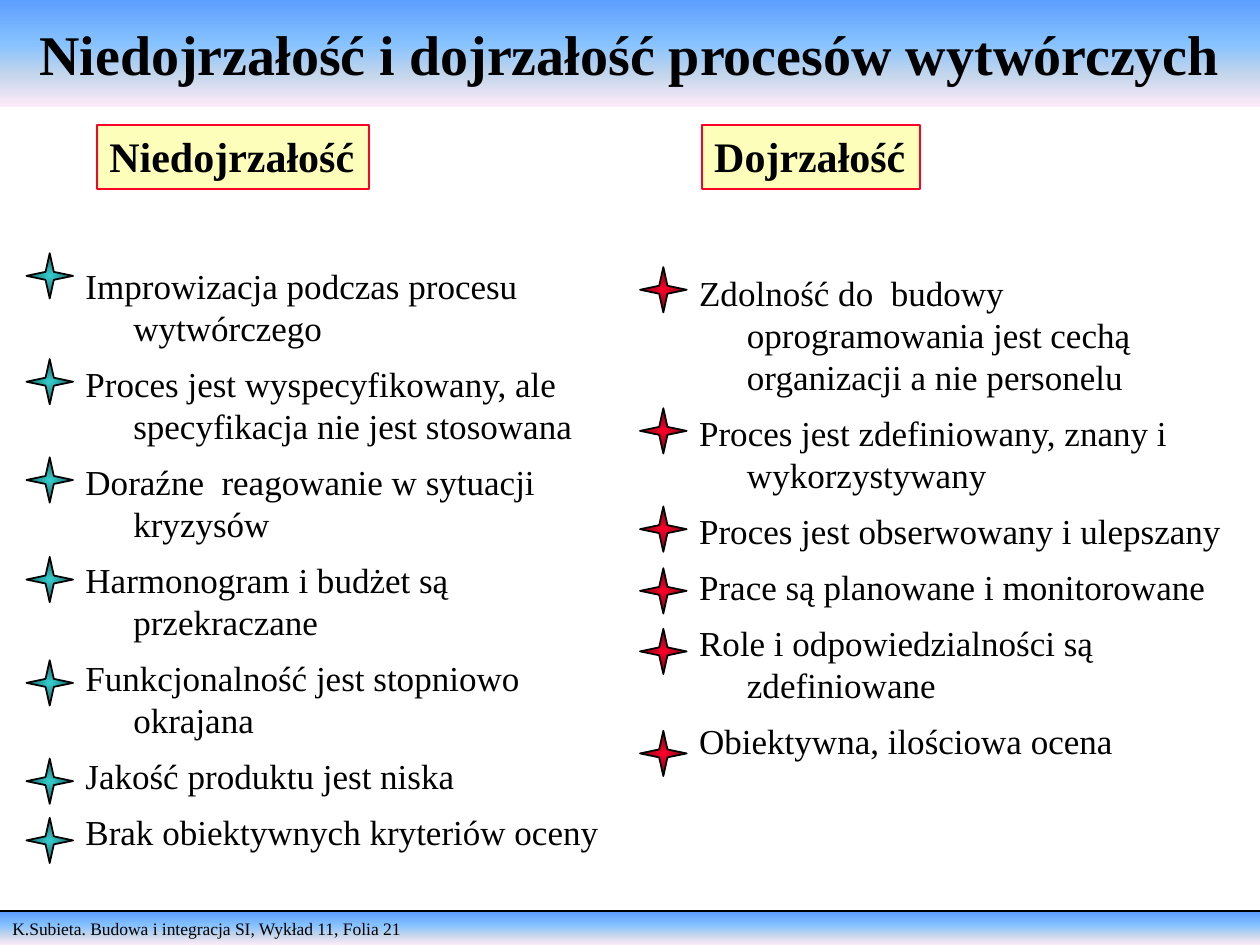
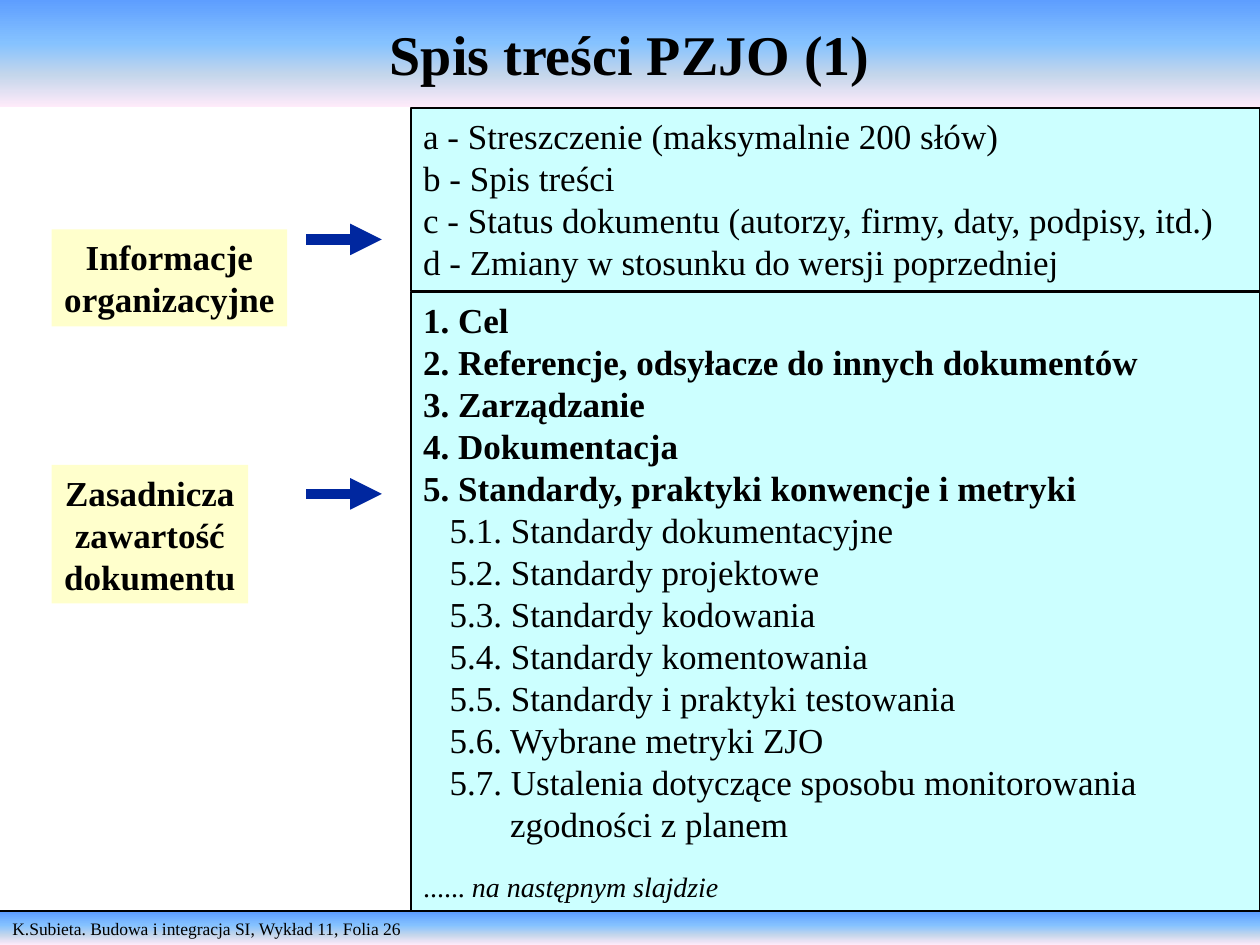
from dataclasses import dataclass

from lxml import etree
from pptx import Presentation
from pptx.dml.color import RGBColor
from pptx.enum.shapes import MSO_CONNECTOR, MSO_SHAPE
from pptx.enum.text import MSO_ANCHOR, PP_ALIGN
from pptx.oxml import parse_xml
from pptx.oxml.ns import nsdecls, qn
from pptx.util import Inches, Pt

RECT, STAR = MSO_SHAPE.RECTANGLE, MSO_SHAPE.STAR_4_POINT
STRAIGHT = MSO_CONNECTOR.STRAIGHT
LEFT, CENTER = PP_ALIGN.LEFT, PP_ALIGN.CENTER
TOP, MIDDLE = MSO_ANCHOR.TOP, MSO_ANCHOR.MIDDLE


@dataclass(frozen=True)
class Theme:
    font: str = "Times New Roman"
    ink: str = "000000"
    band: tuple = ((0, "5E9EFF"), (40, "85C2FF"), (70, "C4D6EB"), (100, "FFEBFA"))
    teal: tuple = ((0, "33CCCC"), (100, "185E5E"))
    red: tuple = ((0, "FC0128"), (100, "750013"))
    heading_fill: str = "FCFEB9"
    heading_line: str = "FC0128"
    label_fill: str = "FFFFCC"
    panel_fill: str = "CCFFFF"
    arrow: str = "00279F"
    title_size: int = 32
    heading_size: int = 24
    body_size: int = 20
    note_size: int = 16
    footer_size: int = 10


THEME = Theme()

# Content
FOOTER = "K.Subieta. Budowa i integracja SI, Wykład 11, Folia {}"

MATURITY_TITLE = "Niedojrzałość i dojrzałość procesów wytwórczych"
# Each item: top of its star, wording
MATURITY_COLUMNS = [
    dict(heading="Niedojrzałość", heading_box=(0.77, 0.99, 2.16, 0.51),
         list_box=(0.58, 1.72, 4.3, 5.43), star_colours=THEME.teal,
         items=[(2.01, "Improwizacja podczas procesu wytwórczego"),
                (2.85, "Proces jest wyspecyfikowany, ale specyfikacja nie jest stosowana"),
                (3.63, "Doraźne  reagowanie w sytuacji kryzysów"),
                (4.42, "Harmonogram i budżet są przekraczane"),
                (5.24, "Funkcjonalność jest stopniowo okrajana"),
                (6.02, "Jakość produktu jest niska"),
                (6.49, "Brak obiektywnych kryteriów oceny")]),
    dict(heading="Dojrzałość", heading_box=(5.57, 0.99, 1.73, 0.51),
         list_box=(5.45, 1.72, 4.38, 4.76), star_colours=THEME.red,
         items=[(2.12, "Zdolność do  budowy oprogramowania jest cechą organizacji a nie personelu"),
                (3.24, "Proces jest zdefiniowany, znany i wykorzystywany"),
                (4.02, "Proces jest obserwowany i ulepszany"),
                (4.51, "Prace są planowane i monitorowane"),
                (4.99, "Role i odpowiedzialności są zdefiniowane"),
                (5.8, "Obiektywna, ilościowa ocena")]),
]

CONTENTS_TITLE = "Spis treści PZJO (1)"
SUMMARY = ["a - Streszczenie (maksymalnie 200 słów)",
           "b - Spis treści",
           "c - Status dokumentu (autorzy, firmy, daty, podpisy, itd.)",
           "d - Zmiany w stosunku do wersji poprzedniej"]
CHAPTERS = ["1. Cel",
            "2. Referencje, odsyłacze do innych dokumentów",
            "3. Zarządzanie",
            "4. Dokumentacja",
            "5. Standardy, praktyki konwencje i metryki"]
SECTIONS = ["5.1. Standardy dokumentacyjne",
            "5.2. Standardy projektowe",
            "5.3. Standardy kodowania",
            "5.4. Standardy komentowania",
            "5.5. Standardy i praktyki testowania",
            "5.6. Wybrane metryki ZJO",
            "5.7. Ustalenia dotyczące sposobu monitorowania zgodności z planem"]
CONTINUED = ("...... ", "na następnym slajdzie")
# Label lines, label box, height of its arrow
CONTENTS_LABELS = [
    (["Informacje", "organizacyjne"], (0.41, 1.82, 1.87, 0.77), 1.9),
    (["Zasadnicza", "zawartość", "dokumentu"], (0.41, 3.69, 1.56, 1.1), 3.92),
]

# Layout
SLIDE_WIDTH, SLIDE_HEIGHT = 10, 7.5
TITLE_BOX = (0, 0, SLIDE_WIDTH, 0.85)
FOOTER_BOX = (0, 7.24, SLIDE_WIDTH, 0.26)
FOOTER_RULE_Y = 7.23
STAR_SIZE = (0.37, 0.36)
LIST_INDENT = 0.38
SUMMARY_BOX = (3.26, 0.86, 6.74, 1.45)
CHAPTERS_BOX = (3.26, 2.32, 6.74, 4.91)
SECTION_LEFT, SECTION_HANG = 0.69, 0.48
ARROW_SPAN = (2.43, 3.03)


def rgb(colour):
    return RGBColor.from_string(colour)


def fill_gradient(shape, stops, radial=False):
    marks = "".join(f'<a:gs pos="{pos * 1000}"><a:srgbClr val="{colour}"/></a:gs>'
                    for pos, colour in stops)
    if radial:
        direction = ('<a:path path="shape"><a:fillToRect l="50000" t="50000" '
                     'r="50000" b="50000"/></a:path>')
    else:
        direction = '<a:lin ang="5400000" scaled="0"/>'
    gradient = parse_xml(f'<a:gradFill {nsdecls("a")} rotWithShape="1">'
                         f'<a:gsLst>{marks}</a:gsLst>{direction}</a:gradFill>')
    shape._element.spPr.find(qn("a:prstGeom")).addnext(gradient)


def add_box(slide, box, fill, line=None, kind=RECT, radial=False):
    """Add a shape; fill is one colour or a tuple of gradient stops."""
    shape = slide.shapes.add_shape(kind, *map(Inches, box))
    shape.shadow.inherit = False
    if isinstance(fill, tuple):
        fill_gradient(shape, fill, radial)
    else:
        shape.fill.solid()
        shape.fill.fore_color.rgb = rgb(fill)
    if line:
        shape.line.color.rgb = rgb(line)
        shape.line.width = Pt(1)
    else:
        shape.line.fill.background()
    return shape


def add_run(paragraph, text, size, bold=False, italic=False):
    run = paragraph.add_run()
    run.text = text
    font = run.font
    font.name, font.size, font.bold, font.italic = THEME.font, Pt(size), bold, italic
    font.color.rgb = rgb(THEME.ink)


def add_paragraph(frame, align=LEFT, before=0, left=0, hang=0):
    first = frame.paragraphs[0]
    paragraph = frame.add_paragraph() if first.runs else first
    paragraph.alignment = align
    paragraph.space_before = Pt(before)
    if left:
        properties = paragraph._p.get_or_add_pPr()
        properties.set("marL", str(Inches(left)))
        properties.set("indent", str(-Inches(hang)))
    return paragraph


def write(shape, lines, size, bold=False, anchor=TOP, wrap=True, **layout):
    frame = shape.text_frame
    frame.word_wrap = wrap
    frame.vertical_anchor = anchor
    for line in lines:
        add_run(add_paragraph(frame, **layout), line, size, bold)
    return frame


def add_line(slide, start, end, colour, width, arrow=False):
    line = slide.shapes.add_connector(STRAIGHT, *map(Inches, start + end))
    line.line.color.rgb = rgb(colour)
    line.line.width = Pt(width)
    if arrow:
        etree.SubElement(line.line._get_or_add_ln(), qn("a:tailEnd"), type="triangle")
    etree.SubElement(line._element.spPr, qn("a:effectLst"))


def add_framed_slide(deck, title, folio):
    """Add a slide with the shared title band and footer."""
    slide = deck.slides.add_slide(deck.slide_layouts[6])
    footer_band = add_box(slide, FOOTER_BOX, THEME.band)
    write(footer_band, [FOOTER.format(folio)], THEME.footer_size)
    add_line(slide, (0, FOOTER_RULE_Y), (SLIDE_WIDTH, FOOTER_RULE_Y), THEME.ink, 1)
    title_band = add_box(slide, TITLE_BOX, THEME.band)
    write(title_band, [title], THEME.title_size, bold=True, anchor=MIDDLE, align=CENTER)
    return slide


def build_maturity(deck):
    slide = add_framed_slide(deck, MATURITY_TITLE, 21)
    for column in MATURITY_COLUMNS:
        # Traits with a hanging indent
        traits = slide.shapes.add_textbox(*map(Inches, column["list_box"]))
        write(traits, [trait for _, trait in column["items"]], THEME.body_size,
              anchor=MIDDLE, before=0.4 * THEME.body_size,
              left=LIST_INDENT, hang=LIST_INDENT)
        # Column heading
        heading = add_box(slide, column["heading_box"], THEME.heading_fill, THEME.heading_line)
        write(heading, [column["heading"]], THEME.heading_size, bold=True, wrap=False)
        # Stars end where the list begins
        star_left = column["list_box"][0] - STAR_SIZE[0]
        for star_top, _ in column["items"]:
            star = add_box(slide, (star_left, star_top, *STAR_SIZE),
                           column["star_colours"], THEME.ink, STAR, radial=True)
            star.adjustments[0] = 0.125


def build_contents(deck):
    slide = add_framed_slide(deck, CONTENTS_TITLE, 26)
    # Two stacked panels
    summary = add_box(slide, SUMMARY_BOX, THEME.panel_fill, THEME.ink)
    write(summary, SUMMARY, THEME.body_size)
    chapters = add_box(slide, CHAPTERS_BOX, THEME.panel_fill, THEME.ink)
    write(chapters, CHAPTERS, THEME.body_size, bold=True)
    frame = write(chapters, SECTIONS, THEME.body_size, left=SECTION_LEFT, hang=SECTION_HANG)
    dots, note = CONTINUED
    closing = add_paragraph(frame, before=14)
    add_run(closing, dots, THEME.note_size)
    add_run(closing, note, THEME.note_size, italic=True)
    # Labels and their arrows
    for lines, box, arrow_y in CONTENTS_LABELS:
        label = add_box(slide, box, THEME.label_fill)
        write(label, lines, THEME.body_size, bold=True, wrap=False, align=CENTER)
        start, end = ((x, arrow_y) for x in ARROW_SPAN)
        add_line(slide, start, end, THEME.arrow, 6, arrow=True)


def main():
    deck = Presentation()
    deck.slide_width, deck.slide_height = Inches(SLIDE_WIDTH), Inches(SLIDE_HEIGHT)
    build_maturity(deck)
    build_contents(deck)
    deck.save("out.pptx")


if __name__ == "__main__":
    main()
